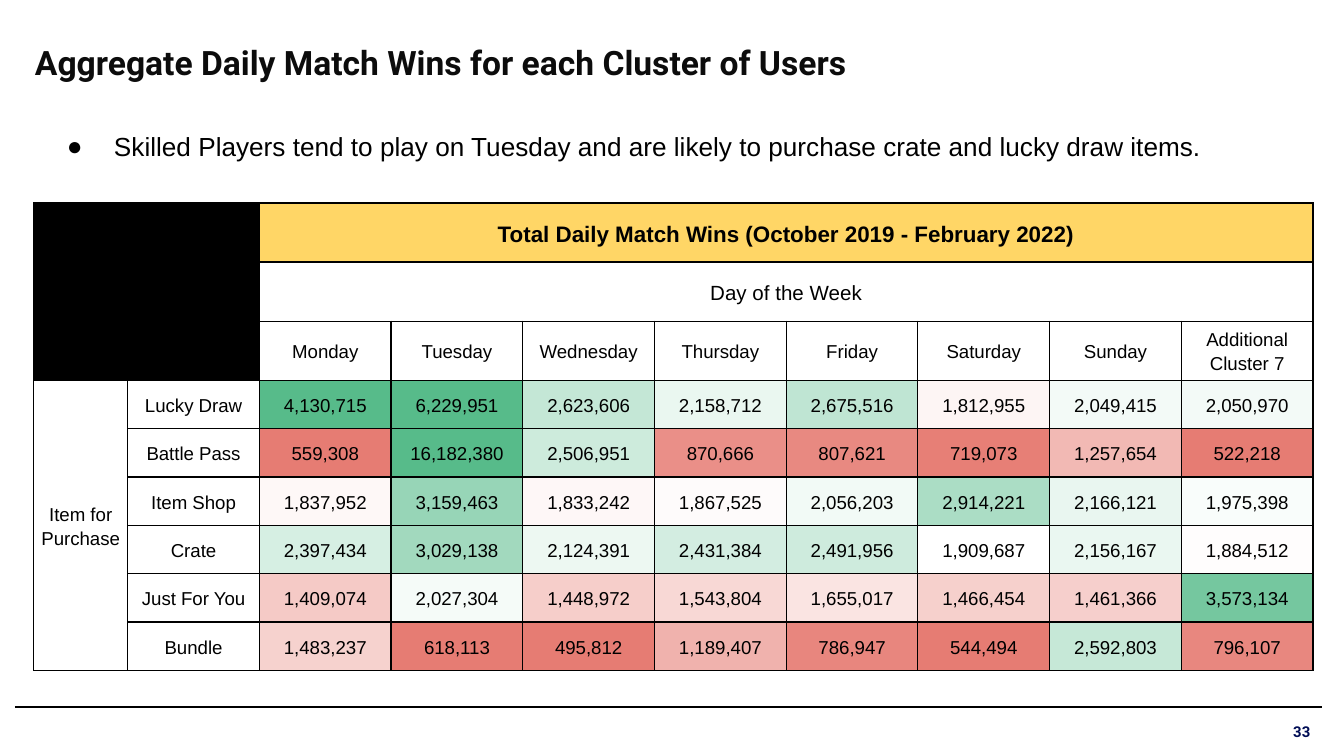
from lxml.etree import SubElement
from pptx import Presentation
from pptx.dml.color import RGBColor
from pptx.enum.shapes import MSO_CONNECTOR
from pptx.enum.text import MSO_ANCHOR, PP_ALIGN
from pptx.oxml import parse_xml
from pptx.oxml.ns import nsdecls, qn
from pptx.util import Inches, Pt

BLACK = "000000"
LOW, MIDDLE, HIGH = 690_000, 1_905_000, 3_935_000
RED, WHITE, GREEN = "E67C73", "FFFFFF", "57BB8A"
DAYS = ["Monday", "Tuesday", "Wednesday", "Thursday", "Friday", "Saturday",
        "Sunday", "Additional Cluster 7"]
WINS = {
    "Lucky Draw": [4130715, 6229951, 2623606, 2158712, 2675516, 1812955, 2049415, 2050970],
    "Battle Pass": [559308, 16182380, 2506951, 870666, 807621, 719073, 1257654, 522218],
    "Item Shop": [1837952, 3159463, 1833242, 1867525, 2056203, 2914221, 2166121, 1975398],
    "Crate": [2397434, 3029138, 2124391, 2431384, 2491956, 1909687, 2156167, 1884512],
    "Just For You": [1409074, 2027304, 1448972, 1543804, 1655017, 1466454, 1461366, 3573134],
    "Bundle": [1483237, 618113, 495812, 1189407, 786947, 544494, 2592803, 796107],
}


def color(code):
    """Turn a hex string into a colour."""
    return RGBColor.from_string(code)


def heat(value):
    """Return the hex colour of a value on the red, white and green scale."""
    end, limit = (GREEN, HIGH) if value > MIDDLE else (RED, LOW)
    share = min((value - MIDDLE) / (limit - MIDDLE), 1)
    pairs = zip(bytes.fromhex(WHITE), bytes.fromhex(end))
    return "".join(f"{round(a + (b - a) * share):02X}" for a, b in pairs)


def apply(target, values):
    """Set attributes of an object from a dict."""
    for name, value in values.items():
        setattr(target, name, value)


def margins(side, top):
    """Return equal side margins and equal top and bottom margins."""
    return {"margin_left": Inches(side), "margin_right": Inches(side),
            "margin_top": Inches(top), "margin_bottom": Inches(top)}


def write(para, text, size, font="Arial", code=BLACK, bold=False):
    """Add a formatted span of text to a paragraph."""
    span = para.add_run()
    span.text = text
    apply(span.font, {"name": font, "size": Pt(size), "bold": bold})
    span.font.color.rgb = color(code)


def add_text(page, box, side, top, anchor=MSO_ANCHOR.TOP):
    """Add a wrapping text box and return its first paragraph."""
    frame = page.shapes.add_textbox(*map(Inches, box)).text_frame
    apply(frame, {"word_wrap": True, "vertical_anchor": anchor, **margins(side, top)})
    return frame.paragraphs[0]


def add_title(page, box):
    """Add the slide title."""
    write(add_text(page, box, 0.07, 0.07),
          "Aggregate Daily Match Wins for each Cluster of Users",
          18, "Roboto", "0C0C0C", True)


def add_finding(page, box):
    """Add the bulleted finding above the table."""
    para = add_text(page, box, 0.1, 0.1)
    properties = para._p.get_or_add_pPr()
    properties.set("marL", str(Inches(0.5)))
    properties.set("indent", str(Inches(-0.35)))
    bullet_color = SubElement(properties, qn("a:buClr"))
    SubElement(bullet_color, qn("a:srgbClr"), val=BLACK)
    SubElement(properties, qn("a:buSzPts"), val="1400")
    SubElement(properties, qn("a:buFont"), typeface="Arial")
    SubElement(properties, qn("a:buChar"), char="●")
    write(para, "Skilled Players tend to play on Tuesday and are likely to "
                "purchase crate and lucky draw items.", 14)


def add_borders(cell):
    """Draw a thin black border on each side of a cell."""
    properties = cell._tc.get_or_add_tcPr()
    for index, side in enumerate(("lnL", "lnR", "lnT", "lnB")):
        properties.insert(index, parse_xml(
            f'<a:{side} {nsdecls("a")} w="{Pt(0.75)}"><a:solidFill>'
            f'<a:srgbClr val="{BLACK}"/></a:solidFill></a:{side}>'))


def fill_cell(cell, text="", fill=None, size=10, bold=False):
    """Write and colour one table cell."""
    apply(cell, {"vertical_anchor": MSO_ANCHOR.MIDDLE, **margins(0.03, 0.02)})
    if fill:
        cell.fill.solid()
        cell.fill.fore_color.rgb = color(fill)
    else:
        cell.fill.background()
    if text:
        para = cell.text_frame.paragraphs[0]
        apply(para, {"alignment": PP_ALIGN.CENTER, "line_spacing": 1.15})
        write(para, text, size, bold=bold)


def add_wins_table(page, box):
    """Add the heat table of wins by item and day."""
    widths = [0.7] + [0.98] * (len(DAYS) + 1)
    heights = [0.44] * 3 + [0.36] * len(WINS)
    table = page.shapes.add_table(len(heights), len(widths), *map(Inches, box)).table
    apply(table, {"first_row": False, "horz_banding": False})
    for column, width in zip(table.columns, widths):
        column.width = Inches(width)
    for row, height in zip(table.rows, heights):
        row.height = Inches(height)
    for cell in table.iter_cells():
        add_borders(cell)
        fill_cell(cell)

    for row in range(3):
        for column in range(2):
            fill_cell(table.cell(row, column), fill=BLACK)
    last_row, last_column = len(heights) - 1, len(widths) - 1
    for row in range(2):
        table.cell(row, 2).merge(table.cell(row, last_column))
    table.cell(3, 0).merge(table.cell(last_row, 0))

    fill_cell(table.cell(0, 2), "Total Daily Match Wins (October 2019 - February 2022)",
              "FFD666", 12, True)
    fill_cell(table.cell(1, 2), "Day of the Week", size=11)
    fill_cell(table.cell(3, 0), "Item for Purchase")
    for column, day in enumerate(DAYS, 2):
        fill_cell(table.cell(2, column), day)
    for row, (item, values) in enumerate(WINS.items(), 3):
        fill_cell(table.cell(row, 1), item)
        for column, value in enumerate(values, 2):
            fill_cell(table.cell(row, column), f"{value:,}", heat(value))


def add_footer(page, box):
    """Add the footer rule and the page number below its right end."""
    left, top, width, height = box
    rule = page.shapes.add_connector(
        MSO_CONNECTOR.STRAIGHT, *map(Inches, (left, top, left + width, top)))
    rule.line.width = Pt(0.75)
    rule.line.color.rgb = color(BLACK)
    SubElement(rule._element.spPr, qn("a:effectLst"))
    number_box = (left + width - 0.56, top + 0.03, 0.54, height - 0.03)
    para = add_text(page, number_box, 0.07, 0.04, MSO_ANCHOR.MIDDLE)
    para.alignment = PP_ALIGN.RIGHT
    write(para, "33", 8, "Roboto", "000D55", True)


def main():
    """Build and save the deck."""
    deck = Presentation()
    apply(deck, {"slide_width": Inches(10), "slide_height": Inches(10) * 9 // 16})
    page = deck.slides.add_slide(deck.slide_layouts[6])
    add_footer(page, (0.11, 5.26, 9.73, 0.33))
    add_title(page, (0.19, 0.24, 9.09, 0.69))
    add_wins_table(page, (0.25, 1.51, 9.52, 3.48))
    add_finding(page, (0.25, 0.87, 9.17, 0.43))
    deck.save("out.pptx")


if __name__ == "__main__":
    main()
